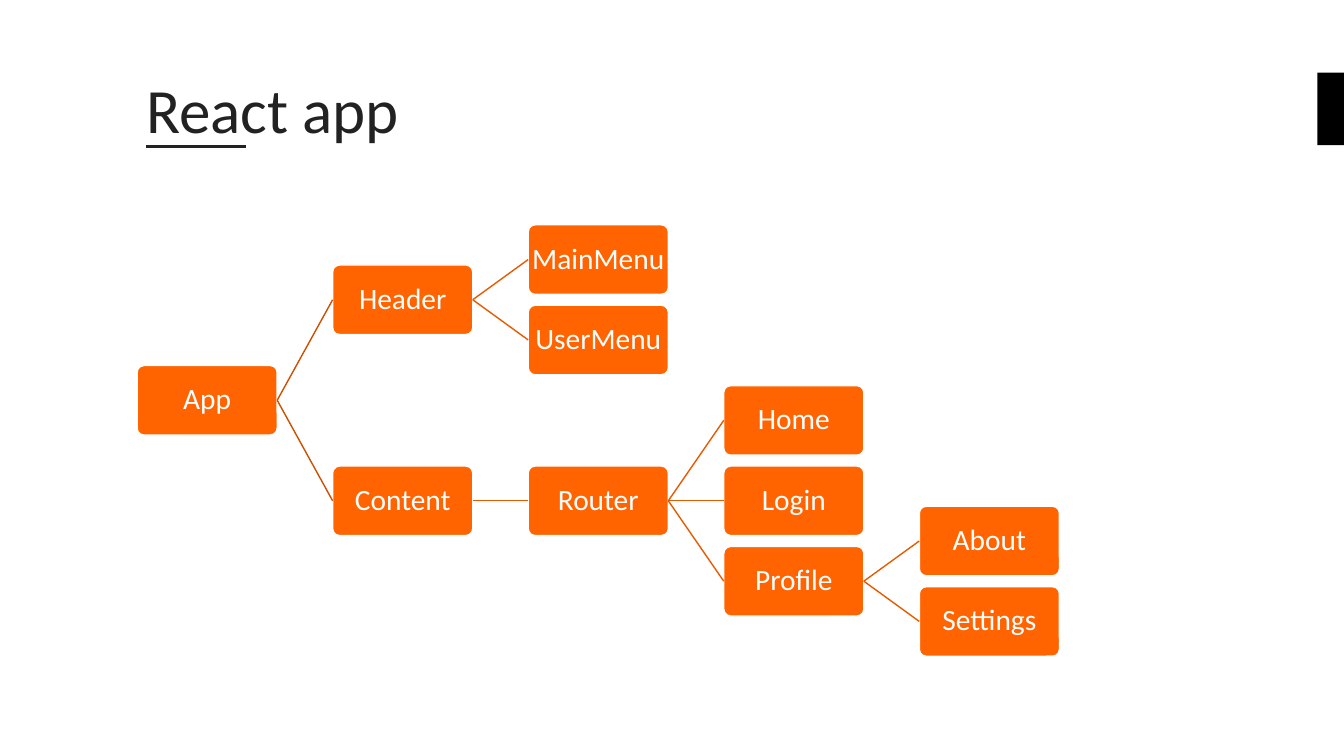
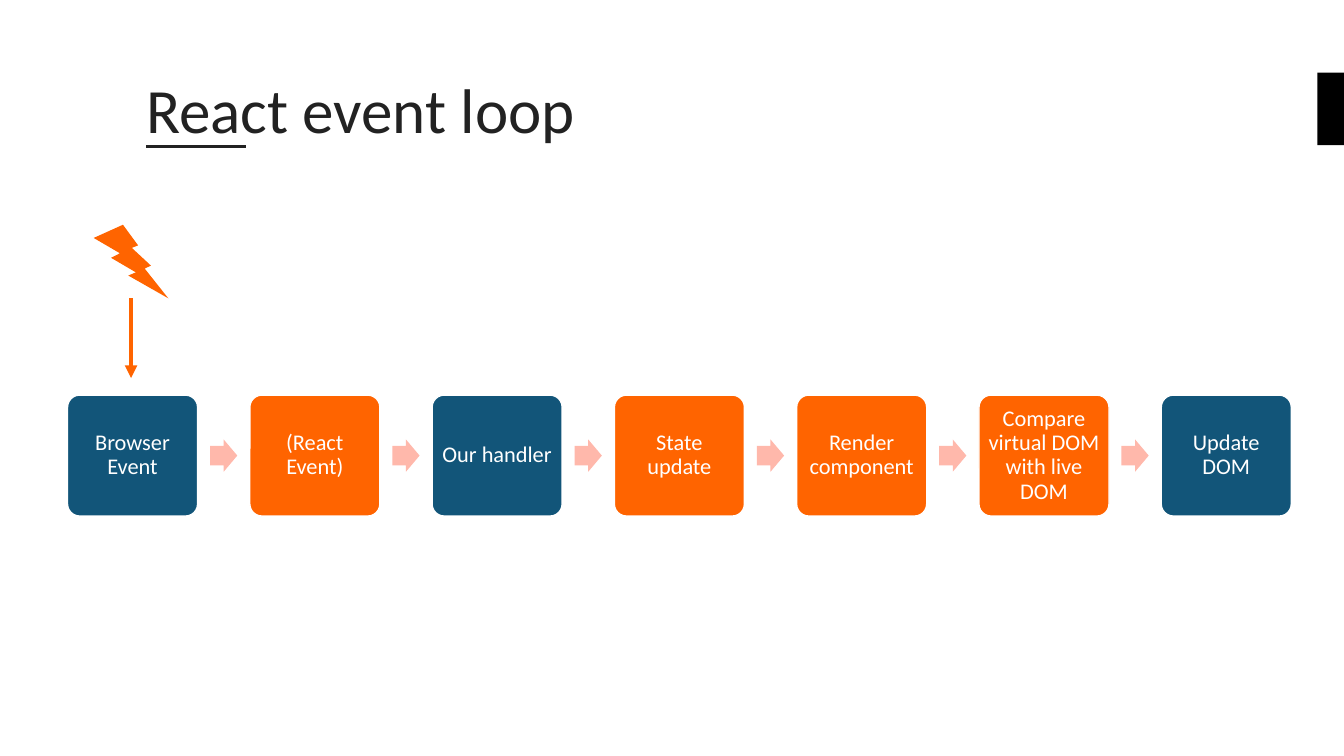
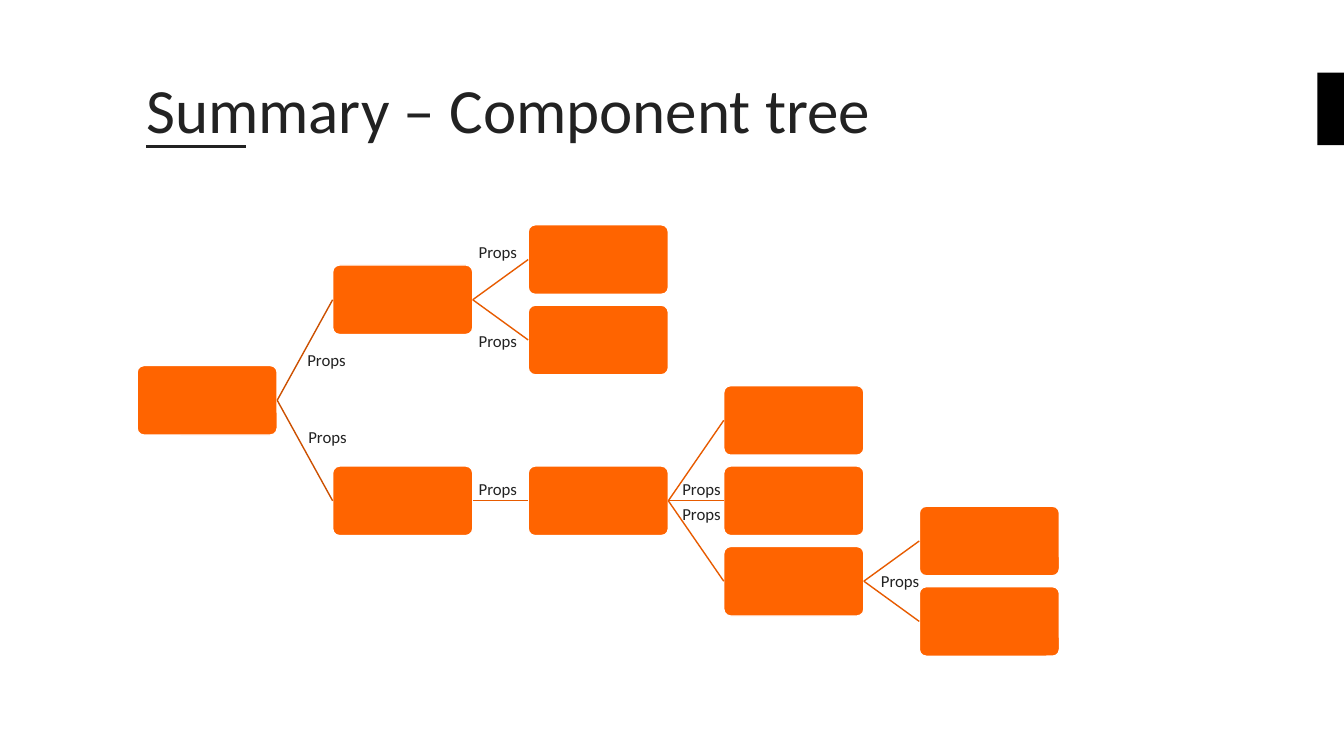
import pptx
import pptx.util
import pptx.dml.color
import pptx.enum.shapes
import pptx.enum.text
import pptx.oxml.ns
import pptx.oxml.xmlchemy
from collections import namedtuple

RGBColor = pptx.dml.color.RGBColor
SHAPES = pptx.enum.shapes.MSO_SHAPE
ALIGN = pptx.enum.text.PP_ALIGN
ANCHOR = pptx.enum.text.MSO_ANCHOR
AUTO_SIZE = pptx.enum.text.MSO_AUTO_SIZE

# Shared look
FONT = "Calibri"
INK = RGBColor(0x22, 0x22, 0x22)
WHITE = RGBColor(0xFF, 0xFF, 0xFF)
BLACK = RGBColor(0x00, 0x00, 0x00)
ORANGE = RGBColor(0xFF, 0x64, 0x00)
BLUE = RGBColor(0x12, 0x55, 0x79)
PINK = RGBColor(0xFF, 0xB8, 0xAB)
ROOT_BRANCH = RGBColor(0xCC, 0x50, 0x00)
BRANCH = RGBColor(0xE7, 0x5B, 0x00)

# Page grid: square cells, ten to the inch
COLUMNS, ROWS = 133.33, 75
Box = namedtuple("Box", "left top width height")
TITLE = Box(13.5, 4, 110.2, 14.5)
BAND = Box(130.7, 7.2, 2.63, 7.2)
TREE = Box(13.6, 22.3, 91.5, 42.8)
PROCESS = Box(6.7, 39.2, 121.4, 12)

# Component tree: name -> (column, row, parent)
COMPONENTS = {
    "App": (0, 1.75, None),
    "Header": (1, 0.5, "App"),
    "MainMenu": (2, 0, "Header"),
    "UserMenu": (2, 1, "Header"),
    "Content": (1, 3, "App"),
    "Router": (2, 3, "Content"),
    "Home": (3, 2, "Router"),
    "Login": (3, 3, "Router"),
    "Profile": (3, 4, "Router"),
    "About": (4, 3.5, "Profile"),
    "Settings": (4, 4.5, "Profile"),
}
TREE_COLUMNS, TREE_ROWS = 4, 4.5  # steps from the first to the last
NODE_WIDTH, NODE_HEIGHT = 13.9, 6.9

# Label offsets from the point where the parent's branches start
BRANCH_LABELS = [
    ("App", 2, -5.5), ("App", 2.1, 2.1),
    ("Header", -0.4, 2.6), ("Header", -0.4, -6.2),
    ("Content", -0.4, -2.7),
    ("Router", 0.4, -0.2), ("Router", 0.4, -2.7),
    ("Profile", 0.7, -1.5),
]

EVENT_STEPS = [
    ("Browser Event", BLUE), ("(React Event)", ORANGE), ("Our handler", BLUE),
    ("State update", ORANGE), ("Render component", ORANGE),
    ("Compare virtual DOM with live DOM", ORANGE), ("Update DOM", BLUE),
]


def cells(count):
    return pptx.util.Inches(count / 10)


def place(box):
    return [cells(length) for length in box]


def add_text(frame, text, size, color, align=ALIGN.LEFT, spacing=None):
    paragraph = frame.paragraphs[0]
    paragraph.alignment = align
    paragraph.line_spacing = spacing
    run = paragraph.add_run()
    run.text = text
    run.font.name = FONT
    run.font.size = pptx.util.Pt(size)
    run.font.color.rgb = color


def add_block(slide, preset, box, fill, adjustments=()):
    shape = slide.shapes.add_shape(preset, *place(box))
    shape.shadow.inherit = False
    shape.fill.solid()
    shape.fill.fore_color.rgb = fill
    shape.line.fill.background()
    for index, value in enumerate(adjustments):
        shape.adjustments[index] = value
    return shape


def add_card(slide, box, fill, text, size, inset):
    """Rounded box with a white edge and an optional centred caption."""
    card = add_block(slide, SHAPES.ROUNDED_RECTANGLE, box, fill, [0.1])
    card.line.color.rgb = WHITE
    card.line.width = pptx.util.Pt(1)
    if text:
        frame = card.text_frame
        frame.word_wrap = True
        frame.vertical_anchor = ANCHOR.MIDDLE
        frame.margin_left = frame.margin_right = cells(inset)
        frame.margin_top = frame.margin_bottom = cells(inset)
        add_text(frame, text, size, WHITE, ALIGN.CENTER, 0.9)
    return card


def add_line(slide, start, end, color, width, arrow=False):
    line = slide.shapes.add_connector(
        pptx.enum.shapes.MSO_CONNECTOR.STRAIGHT, *place((*start, *end)))
    line.line.color.rgb = color
    line.line.width = pptx.util.Pt(width)
    properties = line.element.find(pptx.oxml.ns.qn("p:spPr"))
    if arrow:
        head = pptx.oxml.xmlchemy.OxmlElement("a:tailEnd")
        head.set("type", "triangle")
        properties.find(pptx.oxml.ns.qn("a:ln")).append(head)
    properties.append(pptx.oxml.xmlchemy.OxmlElement("a:effectLst"))
    return line


def add_titled_slide(presentation, text):
    slide = presentation.slides.add_slide(presentation.slide_layouts[5])
    # Edge band and rule under the title
    add_block(slide, SHAPES.RECTANGLE, BAND, BLACK)
    add_line(slide, (14.5, 14.5), (24.4, 14.5), INK, 2)
    # Title
    title = slide.shapes.title
    title.left, title.top, title.width, title.height = place(TITLE)
    frame = title.text_frame
    frame.word_wrap = True
    frame.auto_size = AUTO_SIZE.NONE
    frame.vertical_anchor = ANCHOR.MIDDLE
    add_text(frame, text, 45, INK, spacing=0.9)
    return slide


def add_tree(slide, box, captions=True, labels=()):
    column_step = (box.width - NODE_WIDTH) / TREE_COLUMNS
    row_step = (box.height - NODE_HEIGHT) / TREE_ROWS
    nodes, branch_starts = {}, {}
    # Nodes, each joined to its parent
    for name, (column, row, parent) in COMPONENTS.items():
        left = box.left + column * column_step
        top = box.top + row * row_step
        middle = top + NODE_HEIGHT / 2
        nodes[name] = add_card(slide, Box(left, top, NODE_WIDTH, NODE_HEIGHT),
                               ORANGE, name if captions else "", 21, 0.1)
        branch_starts[name] = (left + NODE_WIDTH, middle)
        if parent:
            branch = add_line(slide, branch_starts[parent], (left, middle),
                              ROOT_BRANCH if column == 1 else BRANCH, 1)
            branch.begin_connect(nodes[parent], 3)
            branch.end_connect(nodes[name], 1)
    # Branch labels
    for parent, across, down in labels:
        x, y = branch_starts[parent]
        label = slide.shapes.add_textbox(
            *place(Box(x + across, y + down, 5.9, 3)))
        label.text_frame.word_wrap = False
        label.text_frame.auto_size = AUTO_SIZE.SHAPE_TO_FIT_TEXT
        add_text(label.text_frame, "Props", 12, INK)


def add_process(slide, box):
    card_width, arrow_width, arrow_height = 12.9, 2.7, 3.2
    step = (box.width - card_width) / (len(EVENT_STEPS) - 1)
    arrow_gap = (step - card_width - arrow_width) / 2
    arrow_top = box.top + (box.height - arrow_height) / 2
    for index, (text, fill) in enumerate(EVENT_STEPS):
        left = box.left + index * step
        if index:
            add_block(slide, SHAPES.RIGHT_ARROW,
                      Box(left - arrow_gap - arrow_width, arrow_top,
                          arrow_width, arrow_height), PINK, [0.6, 0.5])
        add_card(slide, Box(left, box.top, card_width, box.height),
                 fill, text, 16, 0.6)


def add_trigger(slide, box):
    """Lightning bolt with an arrow down to the first step."""
    bolt_height = 7.3
    center = box.left + box.width / 2
    bolt_bottom = box.top + bolt_height
    add_block(slide, SHAPES.LIGHTNING_BOLT,
              box._replace(height=bolt_height), ORANGE)
    add_line(slide, (center, bolt_bottom), (center, box.top + box.height),
             ORANGE, 3, arrow=True)


def main():
    presentation = pptx.Presentation()
    presentation.slide_width = cells(COLUMNS)
    presentation.slide_height = cells(ROWS)

    add_tree(add_titled_slide(presentation, "React app"), TREE)

    event_loop = add_titled_slide(presentation, "React event loop")
    add_process(event_loop, PROCESS)
    add_trigger(event_loop, Box(9.3, 22.3, 7.4, 15.2))

    summary = add_titled_slide(presentation, "Summary – Component tree")
    add_tree(summary, TREE, captions=False, labels=BRANCH_LABELS)

    presentation.save("out.pptx")


if __name__ == "__main__":
    main()
